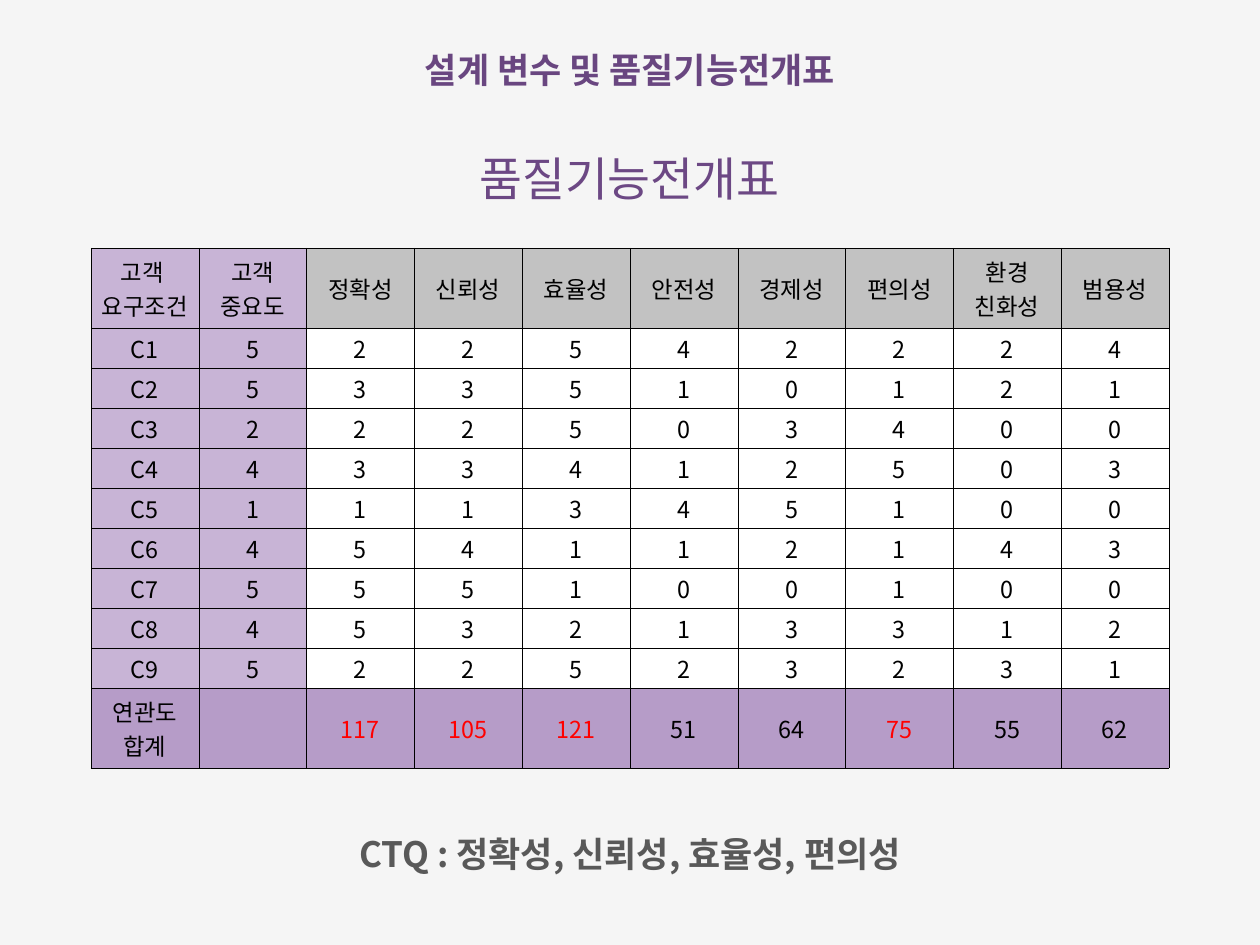
from lxml.etree import SubElement
from pptx import Presentation
from pptx.dml.color import RGBColor as Color
from pptx.enum.text import MSO_ANCHOR as Anchor, PP_ALIGN as Align
from pptx.oxml.ns import qn
from pptx.util import Emu, Pt

SCALE = 914400 / 84
COLORS = {
    "page": "F5F5F5", "heading": "694680", "subheading": "6C4884",
    "note": "595959", "text": "000000", "top": "FF0000", "line": "000000",
    "label": "C8B4D6", "feature": "C2C2C2", "score": "FFFFFF", "total": "B69CC8",
}
HEADER = ["고객 \n요구조건", "고객\n중요도", "정확성", "신뢰성", "효율성",
          "안전성", "경제성", "편의성", "환경\n친화성", "범용성"]
SCORES = ["522542224", "533510121", "222503400", "433412503", "111345100",
          "454112143", "555100100", "453213312", "522523231"]
TOTALS = ["연관도\n합계", "", "117", "105", "121", "51", "64", "75", "55", "62"]
TOP_COLUMNS = {2, 3, 4, 7}


def px(length):
    """Turn pixels into EMU."""
    return Emu(round(length * SCALE))


class Sheet:
    """Hold the deck, its style and the current page."""

    font = "Noto Sans CJK KR"

    def __init__(self, width, height):
        """Start a deck with one blank page."""
        self.deck = Presentation()
        self.deck.slide_width, self.deck.slide_height = px(width), px(height)
        self.page = self.deck.slides.add_slide(self.deck.slide_layouts[6])
        self.paint(self.page.background.fill, "page")

    def paint(self, fill, color):
        """Fill with a named colour."""
        fill.solid()
        fill.fore_color.rgb = Color.from_string(COLORS[color])

    def lines(self, frame, text, color, size, bold=False, spacing=None):
        """Set centred lines, one paragraph each."""
        for index, line in enumerate(text.split("\n")):
            para = frame.add_paragraph() if index else frame.paragraphs[0]
            para.alignment, para.line_spacing = Align.CENTER, spacing
            if not line:
                continue
            span = para.add_run()
            span.text = line
            formats = {"name": self.font, "size": Pt(size), "bold": bold}
            for name, value in formats.items():
                setattr(span.font, name, value)
            span.font.color.rgb = Color.from_string(COLORS[color])
            SubElement(span.font._element, qn("a:ea"), typeface=self.font)

    def text(self, place, text, color, size, wrap=True, **style):
        """Add a text box."""
        box = self.page.shapes.add_textbox(*map(px, place))
        formats = {"word_wrap": wrap, "vertical_anchor": Anchor.MIDDLE,
                   "margin_left": 0, "margin_right": 0,
                   "margin_top": 0, "margin_bottom": 0}
        for name, value in formats.items():
            setattr(box.text_frame, name, value)
        self.lines(box.text_frame, text, color, size, **style)

    def cell(self, cell, text, fill, color):
        """Fill, border and letter one cell."""
        formats = {"vertical_anchor": Anchor.MIDDLE,
                   "margin_left": px(6), "margin_right": px(6),
                   "margin_top": px(2), "margin_bottom": px(2)}
        for name, value in formats.items():
            setattr(cell, name, value)
        props = cell._tc.get_or_add_tcPr()
        for side in ("lnL", "lnR", "lnT", "lnB"):
            line = SubElement(props, qn(f"a:{side}"), w=str(int(Pt(0.28))))
            solid = SubElement(line, qn("a:solidFill"))
            SubElement(solid, qn("a:srgbClr"), val=COLORS["line"])
        self.paint(cell.fill, fill)
        self.lines(cell.text_frame, text, color, 20)

    def table(self, place, rows, heights):
        """Add a table with equal columns and a total row."""
        shape = self.page.shapes.add_table(len(rows), len(rows[0]), *map(px, place))
        table = shape.table
        table.first_row = table.horz_banding = False
        last = len(rows) - 1
        for r, (values, height) in enumerate(zip(rows, heights)):
            table.rows[r].height = px(height)
            for c, value in enumerate(values):
                if r == last:
                    fill = "total"
                elif c < 2:
                    fill = "label"
                else:
                    fill = "score" if r else "feature"
                color = "top" if r == last and c in TOP_COLUMNS else "text"
                self.cell(table.cell(r, c), value, fill, color)


def main():
    """Build the quality function deployment page."""
    sheet = Sheet(1260, 945)
    sheet.text((178, 137, 903, 71), "품질기능전개표", "subheading", 40, spacing=1.2)
    sheet.text((407, 44, 446, 51), "설계 변수 및 품질기능전개표", "heading", 30,
               wrap=False, bold=True)
    scores = [[f"C{number}", *row] for number, row in enumerate(SCORES, 1)]
    sheet.table((91, 248, 1078, 520), [HEADER, *scores, TOTALS], [80] + [40] * 9 + [80])
    sheet.text((177, 822, 906, 55), "CTQ : 정확성, 신뢰성, 효율성, 편의성", "note", 30,
               bold=True, spacing=1.2)
    sheet.deck.save("out.pptx")


if __name__ == "__main__":
    main()
